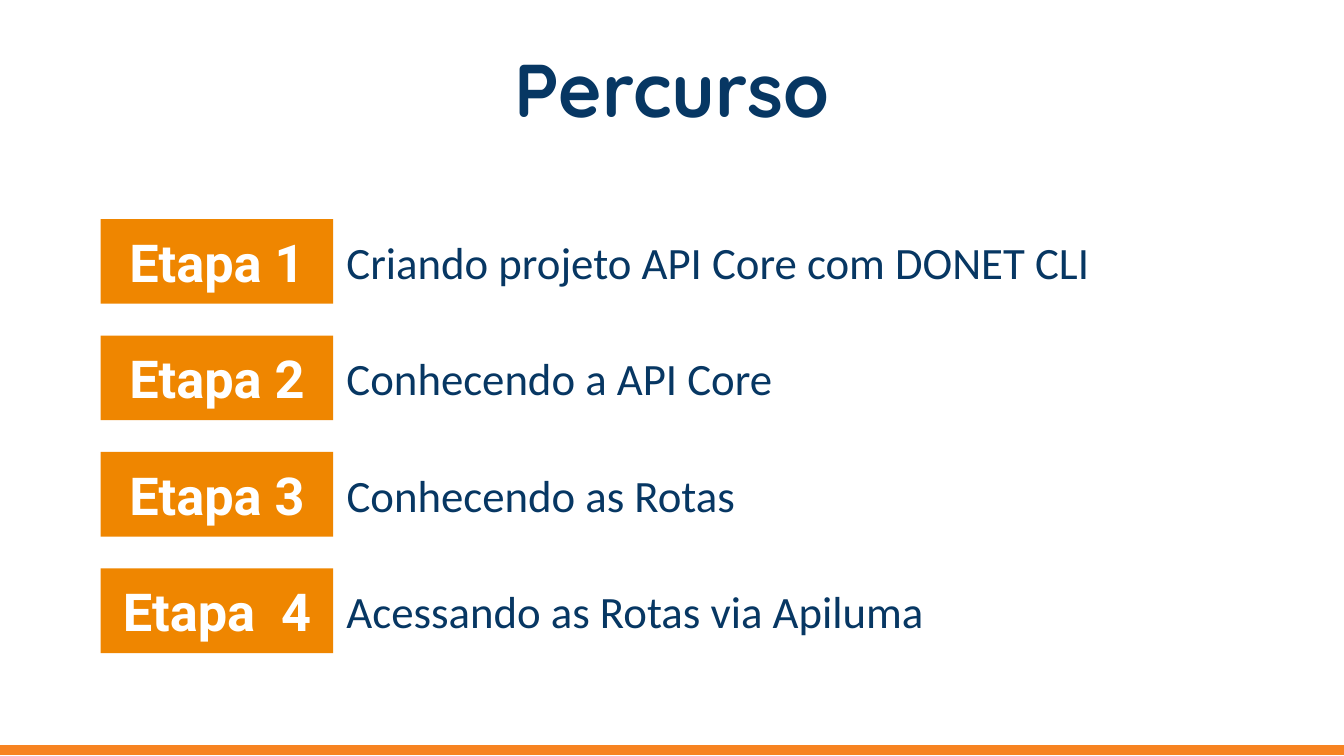
from dataclasses import dataclass

from pptx import Presentation
from pptx.dml.color import RGBColor
from pptx.enum.shapes import MSO_SHAPE
from pptx.enum.text import MSO_ANCHOR, PP_ALIGN
from pptx.util import Inches, Pt


@dataclass(frozen=True)
class Theme:
    navy: RGBColor = RGBColor.from_string("073763")
    orange: RGBColor = RGBColor.from_string("EF8600")
    footer: RGBColor = RGBColor.from_string("F78321")
    white: RGBColor = RGBColor.from_string("FFFFFF")
    title_font: str = "Quicksand"
    label_font: str = "Roboto"
    body_font: str = "Calibri"
    title_size: int = 40
    label_size: int = 28
    body_size: int = 24


THEME = Theme()
PAGE_WIDTH = 10
PAGE_HEIGHT = PAGE_WIDTH * 9 / 16

# Label, description and width of the description box
STEPS = [
    ("Etapa 1", "Criando projeto API Core com DONET CLI", 6.1),
    ("Etapa 2", "Conhecendo a API Core", 3.94),
    ("Etapa 3", "Conhecendo as Rotas", 4.12),
    ("Etapa  4", "Acessando as Rotas via Apiluma", 4.67),
]


def write(shape, text, font, size, color, bold=False, align=PP_ALIGN.LEFT, inset=0.1):
    """Put one formatted paragraph in a shape; inset is the top and bottom margin."""
    frame = shape.text_frame
    frame.word_wrap = True
    frame.vertical_anchor = MSO_ANCHOR.MIDDLE
    frame.margin_left = frame.margin_right = Inches(0.1)
    frame.margin_top = frame.margin_bottom = Inches(inset)
    para = frame.paragraphs[0]
    para.text = text
    para.alignment = align
    para.font.name = font
    para.font.size = Pt(size)
    para.font.bold = bold
    para.font.color.rgb = color


def add_bar(page, left, top, width, height, color):
    bar = page.shapes.add_shape(
        MSO_SHAPE.RECTANGLE, Inches(left), Inches(top), Inches(width), Inches(height)
    )
    bar.shadow.inherit = False
    bar.fill.solid()
    bar.fill.fore_color.rgb = color
    bar.line.fill.background()
    return bar


def place_title(page, text, left, top, width, height):
    title = page.shapes.title
    title.left, title.top = Inches(left), Inches(top)
    title.width, title.height = Inches(width), Inches(height)
    write(title, text, THEME.title_font, THEME.title_size, THEME.navy,
          bold=True, align=PP_ALIGN.CENTER)


def add_steps(page, steps, left, top, height):
    """Stack labelled steps evenly, from the top of the first to the foot of the last."""
    label_width, label_height, text_height = 1.73, 0.63, 0.5
    pitch = (height - label_height) / (len(steps) - 1)
    for index, (label, description, text_width) in enumerate(steps):
        step_top = top + index * pitch
        tag = add_bar(page, left, step_top, label_width, label_height, THEME.orange)
        write(tag, label, THEME.label_font, THEME.label_size, THEME.white,
              bold=True, align=PP_ALIGN.CENTER)
        box = page.shapes.add_textbox(
            Inches(left + label_width),
            Inches(step_top + (label_height - text_height) / 2),
            Inches(text_width), Inches(text_height),
        )
        write(box, description, THEME.body_font, THEME.body_size, THEME.navy, inset=0.05)


def add_footer(page, left, top, width, height):
    footer = add_bar(page, left, top, width, height, THEME.footer)
    footer.line.color.rgb = THEME.footer
    footer.line.width = Pt(0.75)


def main():
    deck = Presentation()
    deck.slide_width, deck.slide_height = Inches(PAGE_WIDTH), Inches(PAGE_HEIGHT)
    page = deck.slides.add_slide(deck.slide_layouts[5])
    page.background.fill.solid()
    page.background.fill.fore_color.rgb = THEME.white
    place_title(page, "Percurso", 0.34, 0.33, 9.32, 0.65)
    add_steps(page, STEPS, 0.75, 1.63, 3.23)
    add_footer(page, 0, 5.55, PAGE_WIDTH, 0.06)
    deck.save("out.pptx")


if __name__ == "__main__":
    main()
